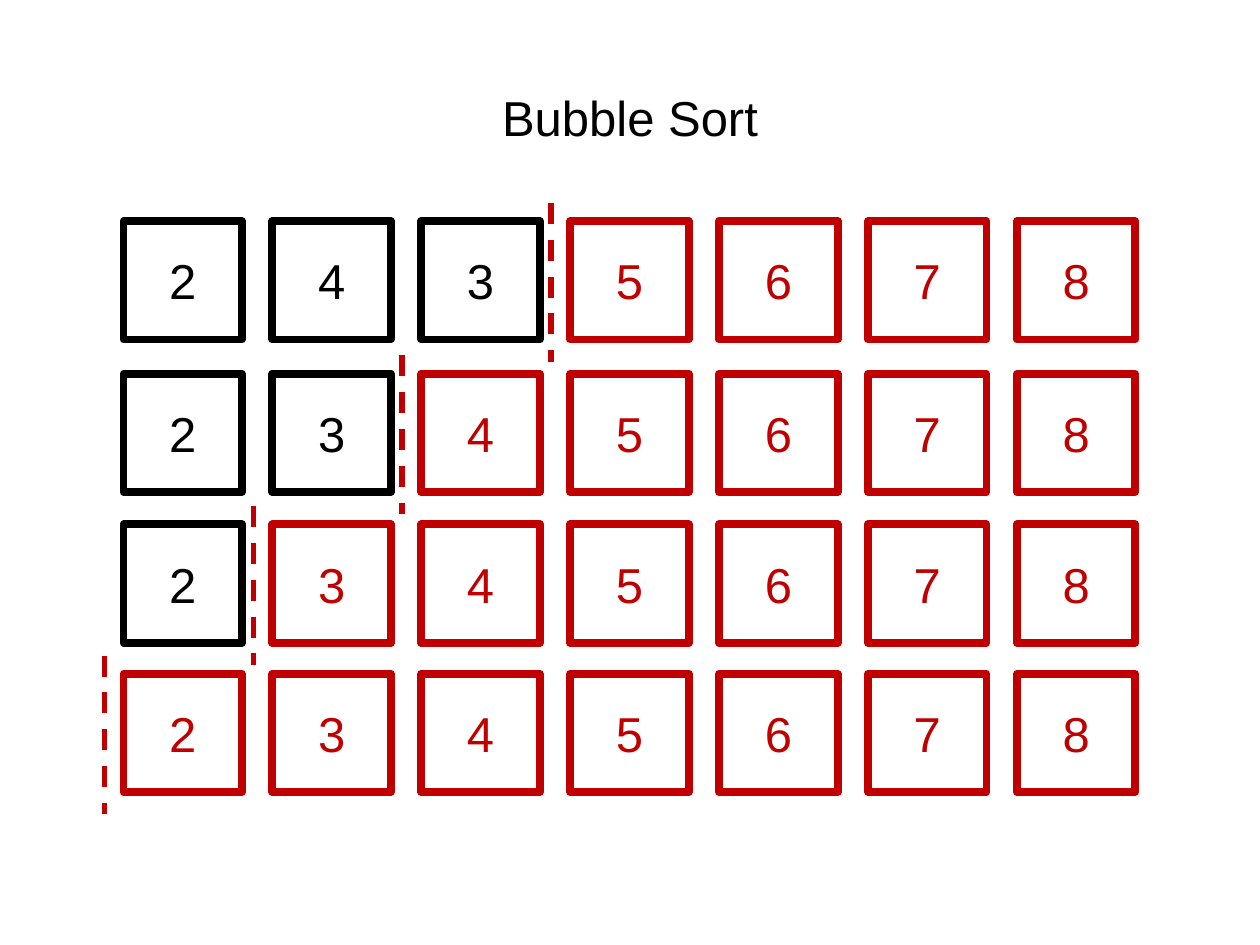
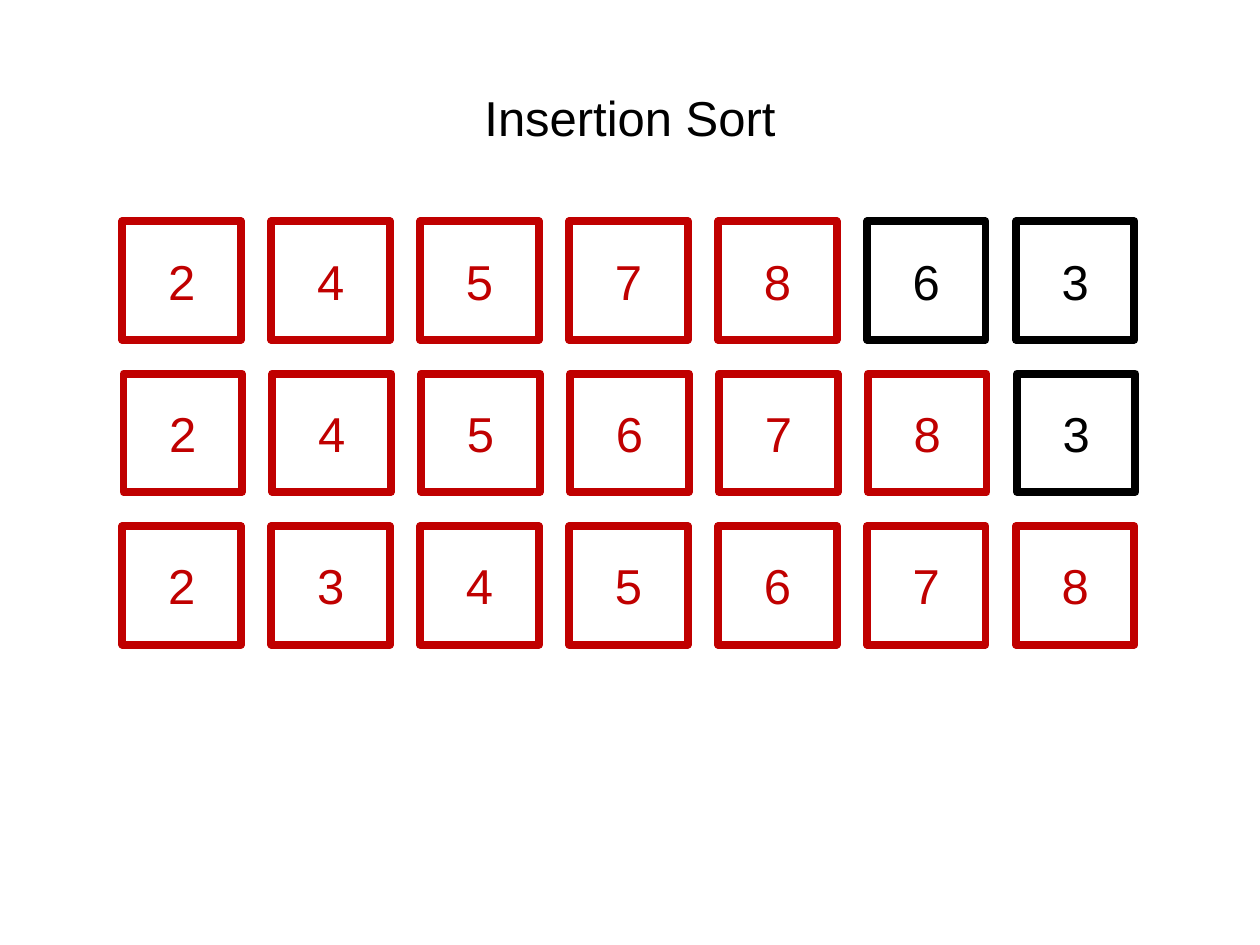
from pptx import Presentation
from pptx.dml.color import RGBColor
from pptx.enum.dml import MSO_LINE
from pptx.enum.shapes import MSO_CONNECTOR, MSO_SHAPE
from pptx.enum.text import MSO_ANCHOR, PP_ALIGN
from pptx.oxml.ns import qn
from pptx.util import Pt
from lxml import etree

RECT, STRAIGHT = MSO_SHAPE.RECTANGLE, MSO_CONNECTOR.STRAIGHT
MIDDLE, CENTER, DASH = MSO_ANCHOR.MIDDLE, PP_ALIGN.CENTER, MSO_LINE.DASH

FONT, SIZE = "Arial", 28
BLACK, RED = "000000", "C00000"   # unsorted, sorted
CELL, PITCH = 67.7, 85.1          # side of a cell, step between cells
TITLE_BOX = (36, 21.6, 648, 90)
DIVIDER_GAP, DIVIDER_RISE, DIVIDER_LENGTH = 11, 10.4, 90.7

# Each row: left, top, values, number of sorted values
BUBBLE_ROWS = [
    (70.6, 126.4, "2435678", 4),
    (70.6, 213.5, "2345678", 5),
    (70.6, 299.7, "2345678", 6),
    (70.6, 385, "2345678", 7),
]
INSERTION_ROWS = [
    (70, 126.5, "2457863", 5),
    (70.6, 213.5, "2456783", 6),
    (70, 300.7, "2345678", 7),
]


def rgb(color):
    return RGBColor.from_string(color)


def write(tf, text, color):
    tf.margin_left = tf.margin_right = tf.margin_top = tf.margin_bottom = 0
    tf.vertical_anchor = MIDDLE
    tf.word_wrap = True
    p = tf.paragraphs[0]
    p.alignment = CENTER
    r = p.add_run()
    r.text = text
    r.font.name = FONT
    r.font.size = Pt(SIZE)
    r.font.color.rgb = rgb(color)


def add_title(s, text, box):
    tb = s.shapes.add_textbox(*map(Pt, box))
    write(tb.text_frame, text, BLACK)


def add_row(s, left, top, values, is_sorted):
    """Draw one array as a group of numbered cells."""
    group = s.shapes.add_group_shape()
    for i, value in enumerate(values):
        color = RED if is_sorted(i) else BLACK
        sp = group.shapes.add_shape(RECT, Pt(left + i * PITCH), Pt(top), Pt(CELL), Pt(CELL))
        sp.shadow.inherit = False
        sp.fill.background()
        sp.line.color.rgb = rgb(color)
        sp.line.width = Pt(4.5)
        write(sp.text_frame, value, color)


def add_divider(s, left, top):
    """Dashed line in front of the cell at left, top."""
    x, y = left - DIVIDER_GAP, top - DIVIDER_RISE
    line = s.shapes.add_connector(STRAIGHT, Pt(x), Pt(y), Pt(x), Pt(y + DIVIDER_LENGTH))
    line.line.color.rgb = rgb(RED)
    line.line.width = Pt(3)
    line.line.dash_style = DASH
    etree.SubElement(line._element.spPr, qn("a:effectLst"))


def bubble_slide(prs):
    s = prs.slides.add_slide(prs.slide_layouts[6])
    add_title(s, "Bubble Sort", TITLE_BOX)
    # The sorted part grows from the right
    for left, top, values, count in BUBBLE_ROWS:
        first = len(values) - count
        add_row(s, left, top, values, lambda i: i >= first)
        add_divider(s, left + first * PITCH, top)


def insertion_slide(prs):
    s = prs.slides.add_slide(prs.slide_layouts[6])
    add_title(s, "Insertion Sort", TITLE_BOX)
    # The sorted part grows from the left
    for left, top, values, count in INSERTION_ROWS:
        add_row(s, left, top, values, lambda i: i < count)


def main():
    prs = Presentation()
    prs.slide_width, prs.slide_height = Pt(720), Pt(540)
    bubble_slide(prs)
    insertion_slide(prs)
    prs.save("out.pptx")


if __name__ == "__main__":
    main()
